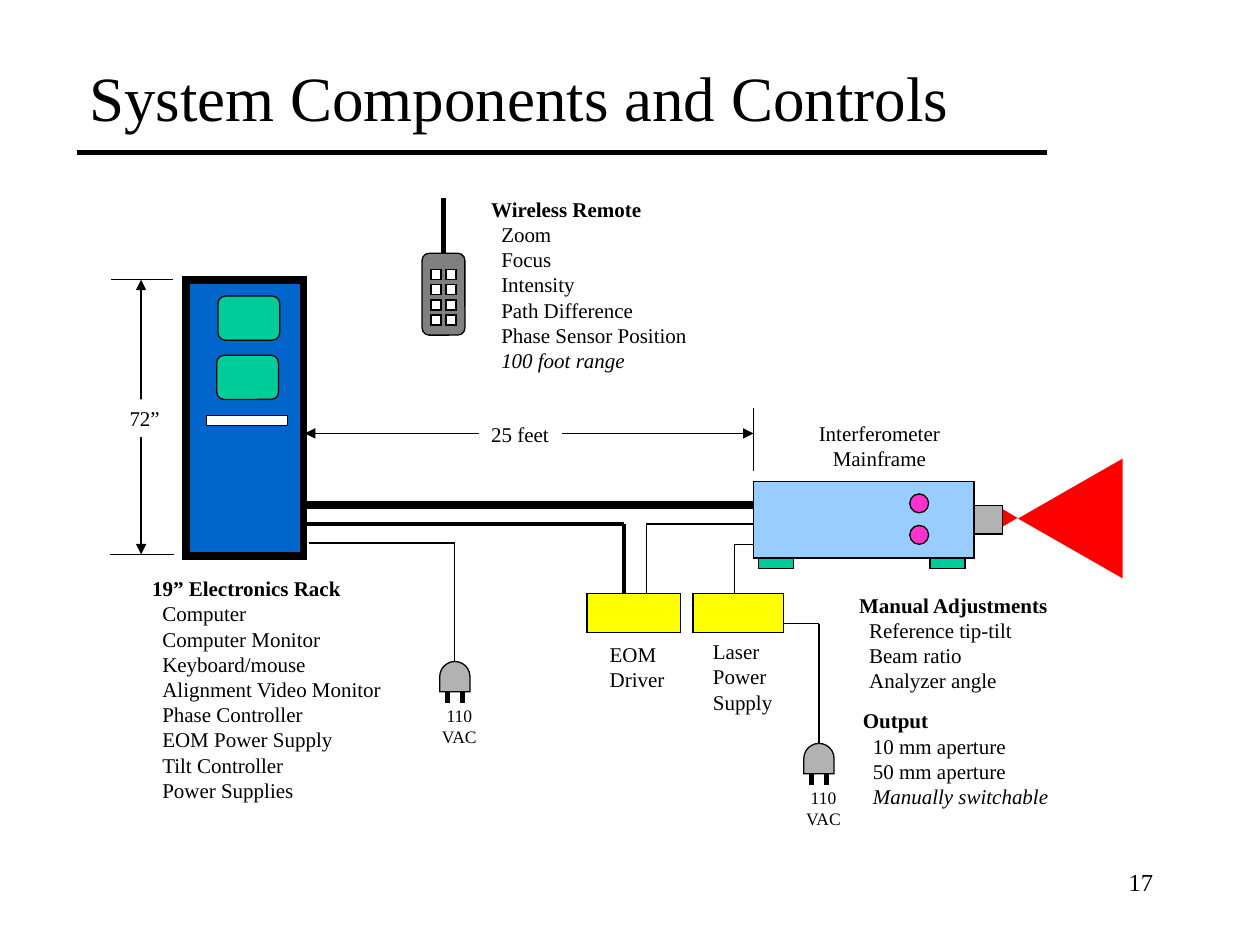
import dataclasses
import itertools

import lxml.etree
import pptx
import pptx.dml.color
import pptx.enum.shapes
import pptx.enum.text
import pptx.oxml.ns
import pptx.slide
import pptx.text.text
import pptx.util

Inches = pptx.util.Inches
Kind = pptx.enum.shapes.MSO_SHAPE
Align = pptx.enum.text.PP_ALIGN
AutoSize = pptx.enum.text.MSO_AUTO_SIZE


@dataclasses.dataclass(frozen=True)
class Theme:
    font: str = "Times New Roman"
    title_size: float = 36
    number_size: float = 14
    body_size: float = 12
    small_size: float = 10
    thin: float = 0.75
    medium: float = 2.25
    bold: float = 3
    heavy: float = 4.5
    black: str = "000000"
    white: str = "FFFFFF"
    beam: str = "FF0000"
    mainframe: str = "99CCFF"
    rack: str = "0066CC"
    supply: str = "FFFF00"
    green: str = "00CC99"
    remote: str = "808080"
    metal: str = "B2B2B2"
    knob: str = "FF33CC"


THEME = Theme()


@dataclasses.dataclass(frozen=True)
class Block:
    left: float
    top: float
    width: float
    height: float
    fill: str
    kind: Kind = Kind.RECTANGLE
    line: float = THEME.thin
    rotation: float = 0


@dataclasses.dataclass(frozen=True)
class Wire:
    points: tuple[tuple[float, float], ...]
    weight: float = THEME.thin
    arrows: bool = False


@dataclasses.dataclass(frozen=True)
class Label:
    left: float
    top: float
    width: float
    height: float
    lines: tuple[str, ...]
    heading: str = ""
    remark: str = ""
    size: float = THEME.body_size
    align: Align = Align.LEFT
    fill: str = ""
    wrap: bool = False


def color(value: str) -> pptx.dml.color.RGBColor:
    return pptx.dml.color.RGBColor.from_string(value)


def draw_block(slide: pptx.slide.Slide, block: Block) -> None:
    shape = slide.shapes.add_shape(
        block.kind, Inches(block.left), Inches(block.top), Inches(block.width), Inches(block.height)
    )
    shape.shadow.inherit = False
    shape.rotation = block.rotation
    shape.fill.solid()
    shape.fill.fore_color.rgb = color(block.fill)
    if block.line:
        shape.line.color.rgb = color(THEME.black)
        shape.line.width = pptx.util.Pt(block.line)
        outline = shape.line._get_or_add_ln()
        lxml.etree.SubElement(outline, pptx.oxml.ns.qn("a:miter"), lim="800000")
    else:
        shape.line.fill.background()


def draw_wire(slide: pptx.slide.Slide, wire: Wire) -> None:
    for start, end in itertools.pairwise(wire.points):
        connector = slide.shapes.add_connector(
            pptx.enum.shapes.MSO_CONNECTOR.STRAIGHT, *map(Inches, start + end)
        )
        connector.line.color.rgb = color(THEME.black)
        connector.line.width = pptx.util.Pt(wire.weight)
        if wire.arrows:
            outline = connector.line._get_or_add_ln()
            for tag in ("a:headEnd", "a:tailEnd"):
                lxml.etree.SubElement(outline, pptx.oxml.ns.qn(tag), type="triangle")
        lxml.etree.SubElement(connector._element.spPr, pptx.oxml.ns.qn("a:effectLst"))


def add_run(
    paragraph: pptx.text.text._Paragraph, text: str, size: float, bold: bool = False, italic: bool = False
) -> None:
    run = paragraph.add_run()
    run.text = text
    run.font.name = THEME.font
    run.font.size = pptx.util.Pt(size)
    run.font.bold = bold
    run.font.italic = italic
    run.font.color.rgb = color(THEME.black)


def draw_label(slide: pptx.slide.Slide, label: Label) -> None:
    shape = slide.shapes.add_textbox(
        Inches(label.left), Inches(label.top), Inches(label.width), Inches(label.height)
    )
    if label.fill:
        shape.fill.solid()
        shape.fill.fore_color.rgb = color(label.fill)
    frame = shape.text_frame
    frame.word_wrap = label.wrap
    frame.auto_size = AutoSize.NONE if label.wrap else AutoSize.SHAPE_TO_FIT_TEXT
    texts = [text for text in (label.heading, *label.lines, label.remark) if text]
    for index, text in enumerate(texts):
        paragraph = frame.paragraphs[0] if index == 0 else frame.add_paragraph()
        paragraph.alignment = label.align
        if label.heading and index:
            paragraph._p.get_or_add_pPr().set("marL", str(Inches(0.08)))
        add_run(paragraph, text, label.size, text == label.heading, text == label.remark)


def draw_plug(slide: pptx.slide.Slide, center: float, top: float) -> None:
    for offset in (-0.06, 0.06):
        prong = center + offset
        draw_wire(slide, Wire(((prong, top + 0.24), (prong, top + 0.33)), THEME.bold))
    draw_block(slide, Block(center - 0.12, top, 0.24, 0.24, THEME.metal, Kind.FLOWCHART_DELAY, rotation=270))
    draw_label(
        slide,
        Label(center - 0.21, top + 0.3, 0.49, 0.44, ("110", "VAC"), size=THEME.small_size, align=Align.CENTER),
    )


def draw_title(slide: pptx.slide.Slide) -> None:
    title = slide.shapes.title
    title.left, title.top, title.width, title.height = map(Inches, (0.61, 0.32, 7.71, 0.89))
    frame = title.text_frame
    frame.auto_size = AutoSize.NONE
    frame.vertical_anchor = pptx.enum.text.MSO_ANCHOR.MIDDLE
    frame.paragraphs[0].alignment = Align.LEFT
    add_run(frame.paragraphs[0], "System Components and Controls", THEME.title_size)


BACK_BLOCKS = [
    Block(7.9, 4.03, 0.19, 0.16, THEME.beam, Kind.ISOSCELES_TRIANGLE, 0, 90),
    Block(8.02, 3.7, 0.95, 0.83, THEME.beam, Kind.ISOSCELES_TRIANGLE, 0, 270),
    Block(5.98, 3.82, 1.75, 0.61, THEME.mainframe),
]
WIRES = [
    Wire(((0.61, 1.21), (8.31, 1.21)), THEME.bold),
    Wire(((5.98, 4.01), (2.41, 4.01)), THEME.heavy),
    Wire(((5.98, 4.32), (5.83, 4.32), (5.83, 4.77))),
    Wire(((5.98, 4.16), (5.13, 4.16), (5.13, 4.73))),
    Wire(((4.95, 4.71), (4.95, 4.16), (2.42, 4.16)), THEME.medium),
    Wire(((3.52, 2.01), (3.52, 1.57)), THEME.bold),
    Wire(((6.22, 4.95), (6.5, 4.95), (6.5, 5.9))),
    Wire(((2.45, 4.31), (3.61, 4.31), (3.61, 5.26))),
    Wire(((5.98, 3.74), (5.98, 3.24))),
    Wire(((1.37, 2.22), (0.88, 2.22))),
    Wire(((1.38, 4.4), (0.87, 4.4))),
]
DIMENSIONS = [
    Wire(((2.42, 3.44), (5.98, 3.44)), arrows=True),
    Wire(((1.12, 2.22), (1.12, 4.4)), arrows=True),
]
FRONT_BLOCKS = [
    Block(1.48, 2.22, 0.93, 2.19, THEME.rack, line=THEME.heavy),
    Block(1.64, 3.3, 0.64, 0.08, THEME.white),
    Block(5.5, 4.71, 0.72, 0.31, THEME.supply),
    Block(4.66, 4.71, 0.74, 0.31, THEME.supply),
    Block(1.72, 2.82, 0.49, 0.35, THEME.green, Kind.ROUNDED_RECTANGLE),
    Block(1.73, 2.35, 0.49, 0.35, THEME.green, Kind.ROUNDED_RECTANGLE),
    Block(3.35, 2.01, 0.34, 0.65, THEME.remote, Kind.ROUNDED_RECTANGLE),
    *(
        Block(3.42 + 0.12 * column, 2.14 + 0.12 * row, 0.08, 0.08, THEME.white)
        for row, column in itertools.product(range(4), range(2))
    ),
    *(Block(7.22, top, 0.15, 0.15, THEME.knob, Kind.OVAL) for top in (3.92, 4.17)),
    Block(7.73, 4.01, 0.23, 0.23, THEME.metal),
    *(Block(left, 4.43, 0.28, 0.08, THEME.green) for left in (6.02, 7.38)),
]
LABELS = [
    Label(5.56, 5.02, 0.67, 0.7, ("Laser", "Power", "Supply")),
    Label(4.74, 5.04, 0.65, 0.5, ("EOM", "Driver")),
    Label(3.8, 1.51, 1.75, 1.5, ("Zoom", "Focus", "Intensity", "Path Difference", "Phase Sensor Position"),
          "Wireless Remote", "100 foot range"),
    Label(6.4, 3.29, 1.16, 0.5, ("Interferometer", "Mainframe"), align=Align.CENTER),
    Label(3.8, 3.3, 0.66, 0.3, ("25 feet",), fill=THEME.white),
    Label(6.72, 4.65, 1.7, 0.9, ("Reference tip-tilt", "Beam ratio", "Analyzer angle"), "Manual Adjustments"),
    Label(1.11, 4.52, 2.09, 1.9,
          ("Computer", "Computer Monitor", "Keyboard/mouse", "Alignment Video Monitor", "Phase Controller",
           "EOM Power Supply", "Tilt Controller", "Power Supplies"), "19” Electronics Rack", wrap=True),
    Label(0.93, 3.17, 0.44, 0.3, ("72”",), fill=THEME.white),
    Label(6.75, 5.57, 1.67, 0.9, ("10 mm aperture", "50 mm aperture"), "Output", "Manually switchable"),
    Label(7.17, 6.83, 2.08, 0.5, ("17",), size=THEME.number_size, align=Align.RIGHT, wrap=True),
]


def main() -> None:
    presentation = pptx.Presentation()
    presentation.slide_width, presentation.slide_height = Inches(10), Inches(7.5)
    slide = presentation.slides.add_slide(presentation.slide_layouts.get_by_name("Title Only"))
    draw_title(slide)
    for block in BACK_BLOCKS:
        draw_block(slide, block)
    for wire in WIRES:
        draw_wire(slide, wire)
    for block in FRONT_BLOCKS:
        draw_block(slide, block)
    for wire in DIMENSIONS:
        draw_wire(slide, wire)
    for label in LABELS:
        draw_label(slide, label)
    for center, top in ((6.5, 5.9), (3.61, 5.25)):
        draw_plug(slide, center, top)
    presentation.save("out.pptx")


if __name__ == "__main__":
    main()
